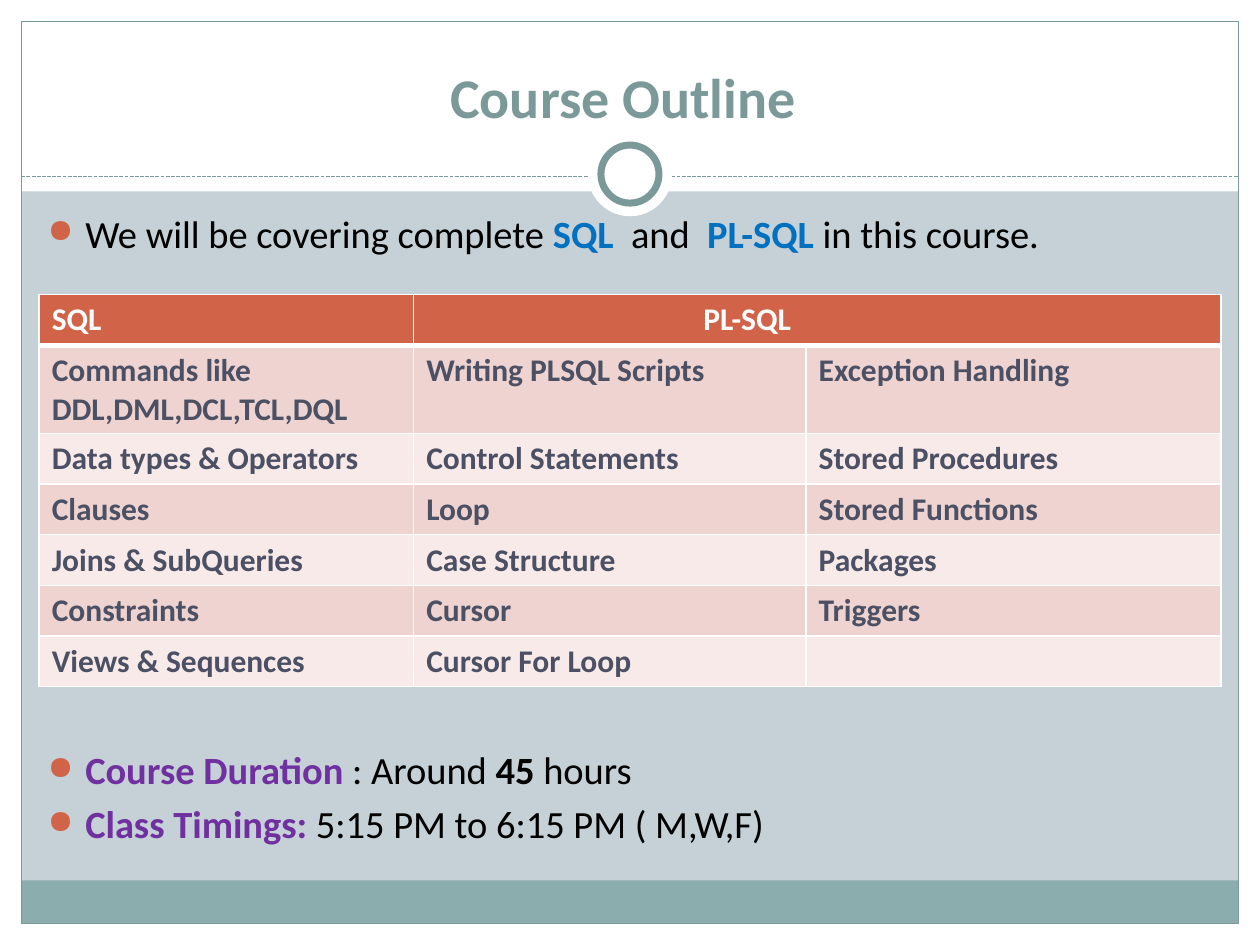
import pptx
import pptx.util
import pptx.dml.color
import pptx.enum.dml
import pptx.enum.shapes
import pptx.enum.text
import pptx.oxml.ns
from lxml import etree

Cm, Pt = pptx.util.Cm, pptx.util.Pt
Kind = pptx.enum.shapes.MSO_SHAPE
Align = pptx.enum.text.PP_ALIGN
Anchor = pptx.enum.text.MSO_ANCHOR
qn = pptx.oxml.ns.qn

TITLE = "Course Outline "
POINTS = [
    (0, [("We will be covering complete ", "text", False), ("SQL", "key", True),
         ("  and  ", "text", False), ("PL-SQL", "key", True),
         (" in this course.", "text", False)]),
    (280, [("Course Duration ", "label", True), (": Around ", "text", False),
           ("45", "text", True), (" hours", "text", False)]),
    (4.4, [("Class Timings: ", "label", True),
           ("5:15 PM to 6:15 PM ( M,W,F)", "text", False)]),
]
ROWS = [
    ("SQL", "PL-SQL", ""),
    ("Commands like DDL,DML,DCL,TCL,DQL", "Writing PLSQL Scripts", "Exception Handling"),
    ("Data types & Operators", "Control Statements", "Stored Procedures"),
    ("Clauses", "Loop", "Stored Functions"),
    ("Joins & SubQueries", "Case Structure", "Packages"),
    ("Constraints", "Cursor", "Triggers"),
    ("Views & Sequences", "Cursor For Loop", ""),
]
WIDTHS = [7.55, 7.91, 8.36]
THEME = {
    "font": "Calibri", "title_pt": 32, "body_pt": 22, "cell_pt": 18,
    "back": "C5D1D7", "white": "FFFFFF", "teal": "7C999A", "band": "8CADAE",
    "text": "000000", "key": "0070C0", "label": "7030A0", "accent": "D16349",
    "cell": "4B5064", "odd": "EED3D0", "even": "F7EAE9",
}
WIDE, HIGH, EDGE, HEAD, FOOT = 25.4, 19.05, 0.43, 3.86, 0.87
RULE, MID = 3.56, 3.51


def tint(name):
    return pptx.dml.color.RGBColor.from_string(THEME[name])


def style(run, size, color, bold):
    run.font.name = THEME["font"]
    run.font.size = Pt(THEME[size])
    run.font.color.rgb = tint(color)
    run.font.bold = bold


def draw(slide, kind, box, fill=None, line=None, width=0.75):
    shape = slide.shapes.add_shape(kind, *map(Cm, box))
    shape.shadow.inherit = False
    if fill:
        shape.fill.solid()
        shape.fill.fore_color.rgb = tint(fill)
    else:
        shape.fill.background()
    if line:
        shape.line.color.rgb = tint(line)
        shape.line.width = Pt(width)
    else:
        shape.line.fill.background()


def frame(slide):
    low = HIGH - EDGE
    inner = WIDE - 2 * EDGE
    for box in [(0, low, WIDE, EDGE), (0, 0, WIDE, HEAD),
                (0, 0, EDGE, HIGH), (WIDE - EDGE, 0, EDGE, HIGH)]:
        draw(slide, Kind.RECTANGLE, box, "white")
    draw(slide, Kind.RECTANGLE, (EDGE, low - FOOT, inner, FOOT), "band")
    draw(slide, Kind.RECTANGLE, (EDGE, EDGE, inner, HIGH - 2 * EDGE), line="teal")
    rule = slide.shapes.add_connector(
        pptx.enum.shapes.MSO_CONNECTOR.STRAIGHT,
        Cm(EDGE), Cm(RULE), Cm(WIDE - EDGE), Cm(RULE))
    rule.line.color.rgb = tint("teal")
    rule.line.width = Pt(0.75)
    rule.line.dash_style = pptx.enum.dml.MSO_LINE.SQUARE_DOT
    etree.SubElement(rule.element.spPr, qn("a:effectLst"))
    for size, line in [(1.7, None), (1.17, "teal")]:
        box = (WIDE - size) / 2, MID - size / 2, size, size
        draw(slide, Kind.OVAL, box, "white", line, 4)


def add_text(slide, box):
    text = slide.shapes.add_textbox(*map(Cm, box)).text_frame
    text.word_wrap = True
    return text


def bullet(para):
    props = para._p.get_or_add_pPr()
    props.set("marL", str(Cm(0.76)))
    props.set("indent", str(-Cm(0.76)))
    color = etree.SubElement(props, qn("a:buClr"))
    etree.SubElement(color, qn("a:srgbClr"), val=THEME["accent"])
    etree.SubElement(props, qn("a:buSzPct"), val="85000")
    etree.SubElement(props, qn("a:buChar"), char="●")


def border(cell, head):
    props = cell._tc.get_or_add_tcPr()
    for side in ("lnL", "lnR", "lnT", "lnB"):
        width = 3 if head and side == "lnB" else 1
        line = etree.SubElement(props, qn("a:" + side), w=str(Pt(width)))
        fill = etree.SubElement(line, qn("a:solidFill"))
        etree.SubElement(fill, qn("a:srgbClr"), val=THEME["white"])


def add_grid(slide):
    high = 1.02
    grid = slide.shapes.add_table(
        len(ROWS), len(WIDTHS), Cm(0.79), Cm(5.94),
        Cm(sum(WIDTHS)), Cm(high * len(ROWS))).table
    for col, width in zip(grid.columns, WIDTHS):
        col.width = Cm(width)
    for r, row in enumerate(ROWS):
        grid.rows[r].height = Cm(high)
        shade = "accent" if r == 0 else "odd" if r % 2 else "even"
        for c, words in enumerate(row):
            cell = grid.cell(r, c)
            border(cell, r == 0)
            cell.fill.solid()
            cell.fill.fore_color.rgb = tint(shade)
            cell.text_frame.text = words
            for run in cell.text_frame.paragraphs[0].runs:
                style(run, "cell_pt", "cell" if r else "white", True)
    grid.cell(0, 1).merge(grid.cell(0, 2))
    grid.cell(0, 1).margin_left = Cm(5.84)


def main():
    deck = pptx.Presentation()
    deck.slide_width, deck.slide_height = Cm(WIDE), Cm(HIGH)
    slide = deck.slides.add_slide(deck.slide_layouts[6])
    slide.background.fill.solid()
    slide.background.fill.fore_color.rgb = tint("back")
    frame(slide)

    title = add_text(slide, (0.84, 0.64, 23.7, 2.11))
    title.vertical_anchor = Anchor.BOTTOM
    title.text = TITLE
    title.paragraphs[0].alignment = Align.CENTER
    style(title.paragraphs[0].runs[0], "title_pt", "teal", True)

    body = add_text(slide, (0.71, 4.11, 24.21, 14.5))
    for i, (gap, parts) in enumerate(POINTS):
        para = body.add_paragraph() if i else body.paragraphs[0]
        bullet(para)
        if gap:
            para.space_before = Pt(gap)
        for words, color, bold in parts:
            run = para.add_run()
            run.text = words
            style(run, "body_pt", color, bold)

    add_grid(slide)
    deck.save("out.pptx")


if __name__ == "__main__":
    main()
